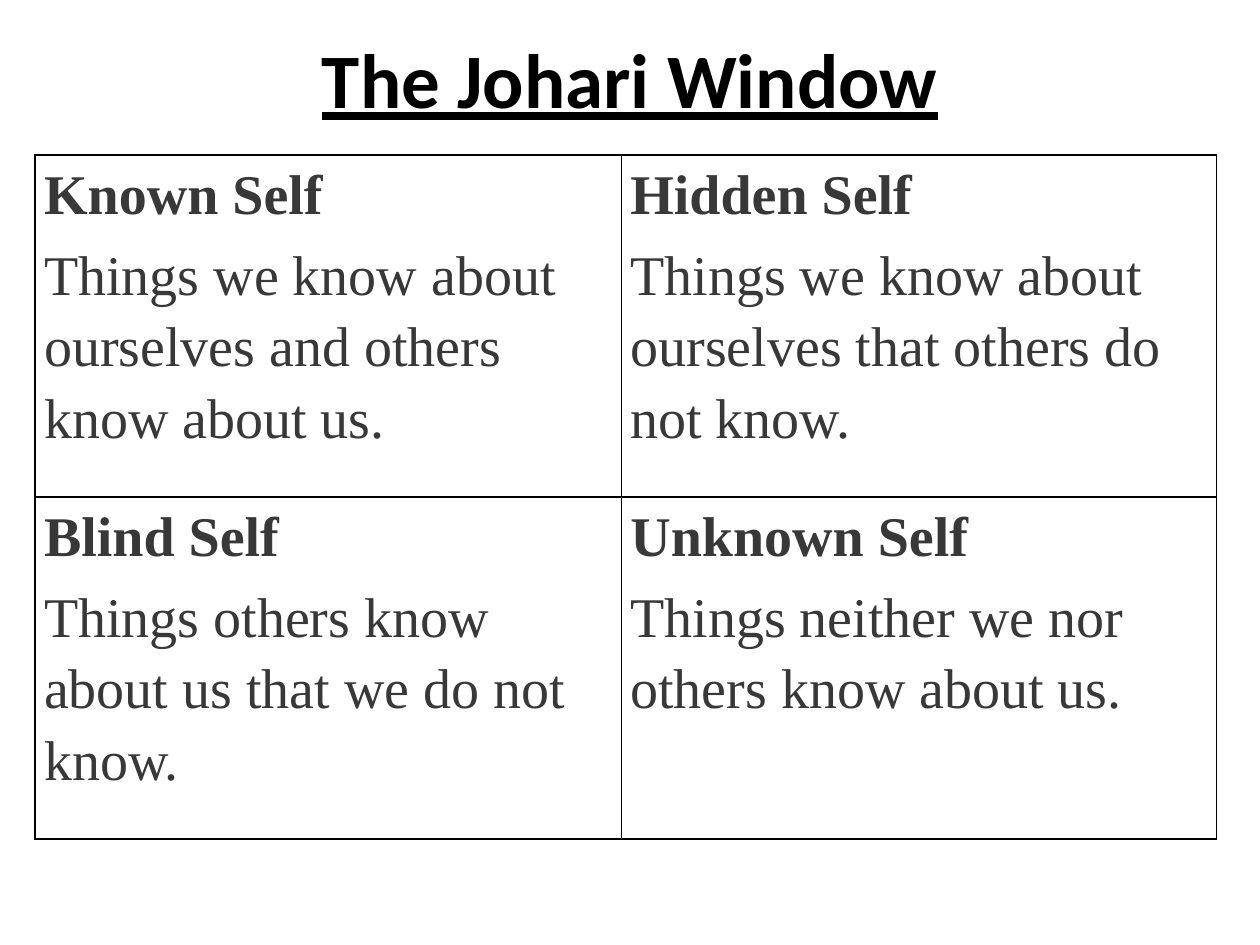
from lxml import etree
from pptx import Presentation
from pptx.dml.color import RGBColor
from pptx.enum.text import MSO_ANCHOR, PP_ALIGN
from pptx.oxml.ns import qn
from pptx.util import Pt

MIDDLE = MSO_ANCHOR.MIDDLE
CENTER = PP_ALIGN.CENTER

THEME = {
    "head": "Calibri", "body": "Times New Roman",
    "black": "000000", "ink": "383838", "white": "FFFFFF",
    "title": 44, "text": 32, "line": 1,
}


def style(font, face, size, color, bold):
    font.name, font.size, font.bold = face, Pt(size), bold
    font.color.rgb = RGBColor.from_string(color)


def border(cell):
    props = cell._tc.get_or_add_tcPr()
    for spot, side in enumerate(("lnL", "lnR", "lnT", "lnB")):
        line = etree.Element(qn("a:" + side), w=str(Pt(THEME["line"])))
        fill = etree.SubElement(line, qn("a:solidFill"))
        etree.SubElement(fill, qn("a:srgbClr"), val=THEME["black"])
        props.insert(spot, line)


deck = Presentation()
deck.slide_width, deck.slide_height = Pt(720), Pt(540)
slide = deck.slides.add_slide(deck.slide_layouts[5])

# Title
title = slide.shapes.title
title.left, title.top, title.width, title.height = Pt(36), Pt(0), Pt(648), Pt(88.5)
title.text_frame.text = "The Johari Window"
title.text_frame.vertical_anchor = MIDDLE
para = title.text_frame.paragraphs[0]
para.alignment = CENTER
style(para.font, THEME["head"], THEME["title"], THEME["black"], True)
para.font.underline = True

# Window of four selves
panes = [
    [("Known Self", "Things we know about ourselves and others know about us."),
     ("Hidden Self", "Things we know about ourselves that others do not know.")],
    [("Blind Self", "Things others know about us that we do not know."),
     ("Unknown Self", "Things neither we nor others know about us.")],
]
widths = [335, 340]
high = 195.5
grid = slide.shapes.add_table(2, 2, Pt(20), Pt(88.5), Pt(sum(widths)), Pt(2 * high)).table
grid.first_row = grid.horz_banding = False
for col, wide in zip(grid.columns, widths):
    col.width = Pt(wide)

for r, row in enumerate(panes):
    grid.rows[r].height = Pt(high)
    for c, texts in enumerate(row):
        cell = grid.cell(r, c)
        cell.margin_left = cell.margin_right = Pt(5.2)
        cell.margin_top = cell.margin_bottom = Pt(0)
        cell.fill.solid()
        cell.fill.fore_color.rgb = RGBColor.from_string(THEME["white"])
        border(cell)
        cell.text = "\n".join(texts)
        for n, para in enumerate(cell.text_frame.paragraphs):
            para.line_spacing, para.space_after = 1.15, Pt(5.3)
            style(para.font, THEME["body"], THEME["text"], THEME["ink"], n == 0)

deck.save("out.pptx")
